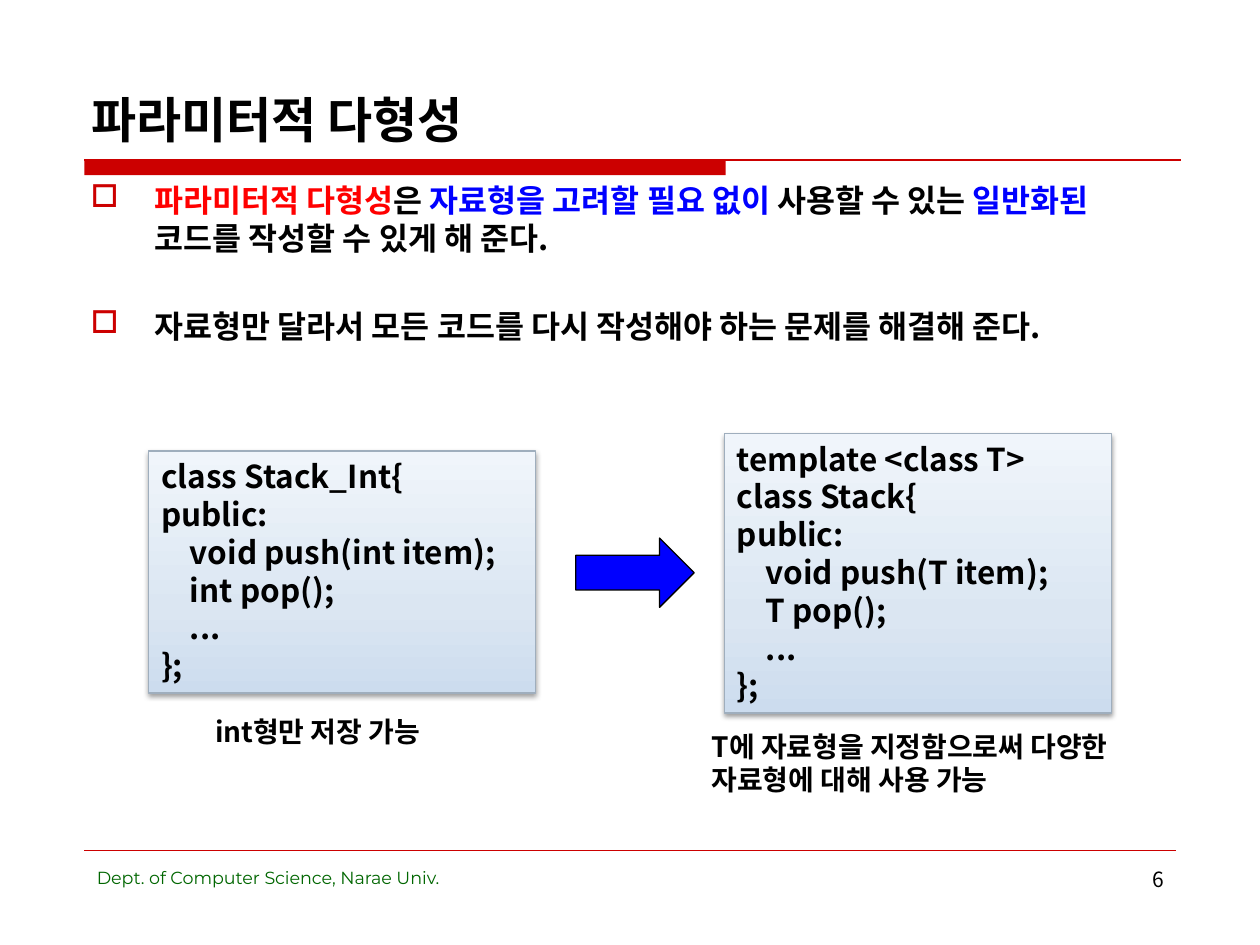
import pptx
import pptx.util
import pptx.dml.color
import pptx.enum.shapes
import pptx.enum.text
import pptx.oxml
import pptx.oxml.ns
from dataclasses import dataclass

Inches = pptx.util.Inches
Pt = pptx.util.Pt
Shape = pptx.enum.shapes.MSO_SHAPE
Align = pptx.enum.text.PP_ALIGN
Anchor = pptx.enum.text.MSO_ANCHOR
NS = pptx.oxml.ns.nsdecls("a")


@dataclass
class Theme:
    """Colours, fonts and type sizes."""
    black: str = "000000"
    mark: str = "CC0000"
    red: str = "FF0000"
    blue: str = "0000FF"
    green: str = "006600"
    edge: str = "9FAEBD"
    stops: tuple = ((0, "CCDCEE"), (35, "DBE6F2"), (100, "F0F5FB"))
    font: str = "Noto Sans CJK KR"
    plain: str = "Montserrat"
    title: int = 28
    body: int = 18
    note: int = 16
    page: int = 12
    foot: int = 10
    lead: float = 1.2


def rgb(code):
    """Turn a hex code into a colour."""
    return pptx.dml.color.RGBColor.from_string(code)


def xml(text):
    """Parse a drawing element, adding its namespace."""
    tag, rest = text.split(" ", 1)
    return pptx.oxml.parse_xml(f"{tag} {NS} {rest}")


class Deck:
    """Holds the style and the current slide."""

    def __init__(self, theme):
        """Start a file with one blank slide."""
        self.theme = theme
        self.file = pptx.Presentation()
        self.file.slide_width = Inches(10)
        self.file.slide_height = Inches(7.5)
        self.slide = self.file.slides.add_slide(self.file.slide_layouts[6])

    def style(self, run, size, color=None, bold=True, font=None):
        """Format one run."""
        face = font or self.theme.font
        run.font.size = Pt(size)
        run.font.bold = bold
        run.font.name = face
        run.font.color.rgb = rgb(color or self.theme.black)
        run.font._element.find(pptx.oxml.ns.qn("a:latin")).addnext(
            xml(f'<a:ea typeface="{face}"/>'))

    def text(self, box, words, size, align=Align.LEFT, anchor=Anchor.TOP, **look):
        """Add a wrapped text box with one style."""
        frame = self.slide.shapes.add_textbox(*map(Inches, box)).text_frame
        frame.word_wrap = True
        frame.vertical_anchor = anchor
        frame.text = words
        para = frame.paragraphs[0]
        para.alignment = align
        para.line_spacing = Pt(size * self.theme.lead)
        self.style(para.runs[0], size, **look)

    def list(self, box, items, gap):
        """Add square bullets, each a list of words and colours."""
        look = self.theme
        frame = self.slide.shapes.add_textbox(*map(Inches, box)).text_frame
        frame.word_wrap = True
        for num, item in enumerate(items):
            para = frame.add_paragraph() if num else frame.paragraphs[0]
            para.line_spacing = Pt(look.body * look.lead)
            para.space_before = Pt(gap if num else 0)
            props = para._p.get_or_add_pPr()
            props.set("marL", str(Inches(0.51)))
            props.set("indent", str(-Inches(0.51)))
            props.append(xml(f'<a:buClr ><a:srgbClr val="{look.mark}"/></a:buClr>'))
            props.append(xml('<a:buChar char="□"/>'))
            for words, color in item:
                run = para.add_run()
                run.text = words
                self.style(run, look.body, color)

    def shape(self, kind, box, fill, edge=None):
        """Add a flat preset shape."""
        item = self.slide.shapes.add_shape(kind, *map(Inches, box))
        item.shadow.inherit = False
        item.fill.solid()
        item.fill.fore_color.rgb = rgb(fill)
        if edge:
            item.line.color.rgb = rgb(edge)
            item.line.width = Pt(0.75)
        else:
            item.line.fill.background()
        return item

    def code(self, box, lines):
        """Add a shaded panel of code; pairs give depth and words."""
        look = self.theme
        item = self.shape(Shape.RECTANGLE, box, look.stops[0][1], look.edge)
        item.fill.gradient()
        item.fill.gradient_angle = 90
        props = item._element.spPr
        stops = props.find(".//" + pptx.oxml.ns.qn("a:gsLst"))
        stops[:] = [xml(f'<a:gs pos="{pos * 1000}"><a:srgbClr val="{color}"/></a:gs>')
                    for pos, color in look.stops]
        props.find(pptx.oxml.ns.qn("a:effectLst")).append(xml(
            f'<a:outerShdw blurRad="{Pt(3.1)}" dist="{Pt(1.6)}" dir="5400000" '
            f'rotWithShape="0"><a:srgbClr val="{look.black}">'
            '<a:alpha val="38000"/></a:srgbClr></a:outerShdw>'))
        frame = item.text_frame
        frame.word_wrap = True
        frame.vertical_anchor = Anchor.TOP
        frame.text = "\n".join(words for _, words in lines)
        for para, (depth, _) in zip(frame.paragraphs, lines):
            para.alignment = Align.LEFT
            para.line_spacing = Pt(look.body * look.lead)
            para._p.get_or_add_pPr().set("marL", str(Inches(0.23 * depth)))
            self.style(para.runs[0], look.body)

    def line(self, left, right, top, width):
        """Add a level rule."""
        item = self.slide.shapes.add_connector(
            pptx.enum.shapes.MSO_CONNECTOR.STRAIGHT,
            Inches(left), Inches(top), Inches(right), Inches(top))
        item.line.color.rgb = rgb(self.theme.mark)
        item.line.width = Pt(width)
        item._element.spPr.append(xml("<a:effectLst />"))


def stack(head, name, kind):
    """Return the code lines of a stack class for one item type."""
    return [(0, words) for words in head + [f"class {name}{{", "public:"]] + [
        (1, f"void push({kind} item);"), (1, f"{kind} pop();"), (1, "..."), (0, "};")]


def main():
    """Build and save the slide."""
    look = Theme()
    deck = Deck(look)
    deck.shape(Shape.RECTANGLE, (0.67, 1.27, 5.09, 0.12), look.mark)
    deck.line(0.67, 9.37, 1.27, 0.75)
    deck.line(0.67, 9.33, 6.75, 0.25)
    deck.text((0.63, 0.33, 8.75, 0.9), "파라미터적 다형성", look.title,
              anchor=Anchor.BOTTOM)
    deck.list((0.62, 1.39, 8.75, 5.2), [
        [("파라미터적 다형성", look.red), ("은 ", look.black),
         ("자료형을 고려할 필요 없이", look.blue), (" 사용할 수 있는 ", look.black),
         ("일반화된", look.blue), (" 코드를 작성할 수 있게 해 준다.", look.black)],
        [("자료형만 달라서 모든 코드를 다시 작성해야 하는 문제를 해결해 준다.", look.black)],
    ], gap=28.7)
    deck.text((0.67, 6.83, 4.02, 0.52), "Dept. of Computer Science, Narae Univ.",
              look.foot, color=look.green, bold=False, font=look.plain)
    deck.text((7.17, 6.83, 2.17, 0.52), "6", look.page, Align.RIGHT, bold=False)
    deck.code((1.18, 3.58, 3.07, 1.92), stack([], "Stack_Int", "int"))
    deck.code((5.75, 3.44, 3.07, 2.22), stack(["template <class T>"], "Stack", "T"))
    deck.shape(Shape.RIGHT_ARROW, (4.57, 4.27, 0.94, 0.55), look.blue, look.black)
    deck.text((1.61, 5.62, 2.2, 0.37), "int형만 저장 가능", look.note)
    deck.text((5.55, 5.74, 3.46, 0.64),
              "T에 자료형을 지정함으로써 다양한 자료형에 대해 사용 가능", look.note)
    deck.file.save("out.pptx")


main()
